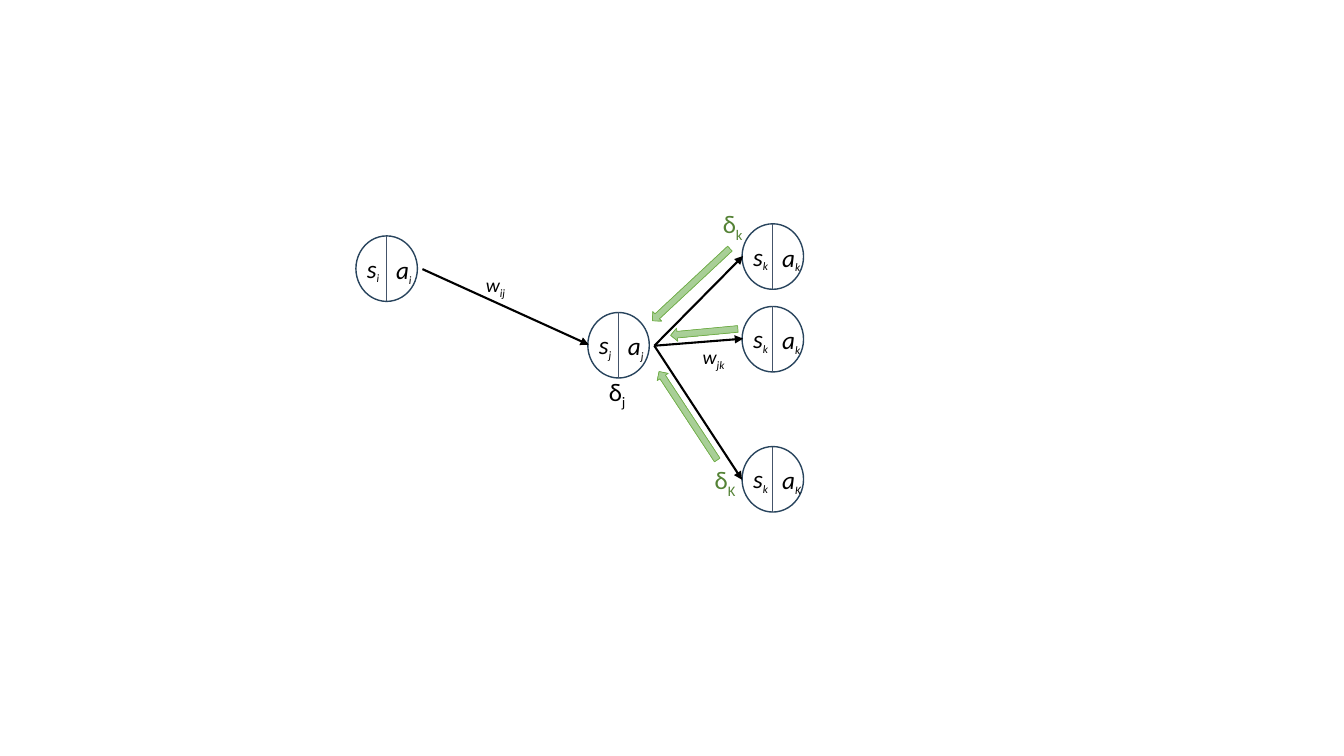
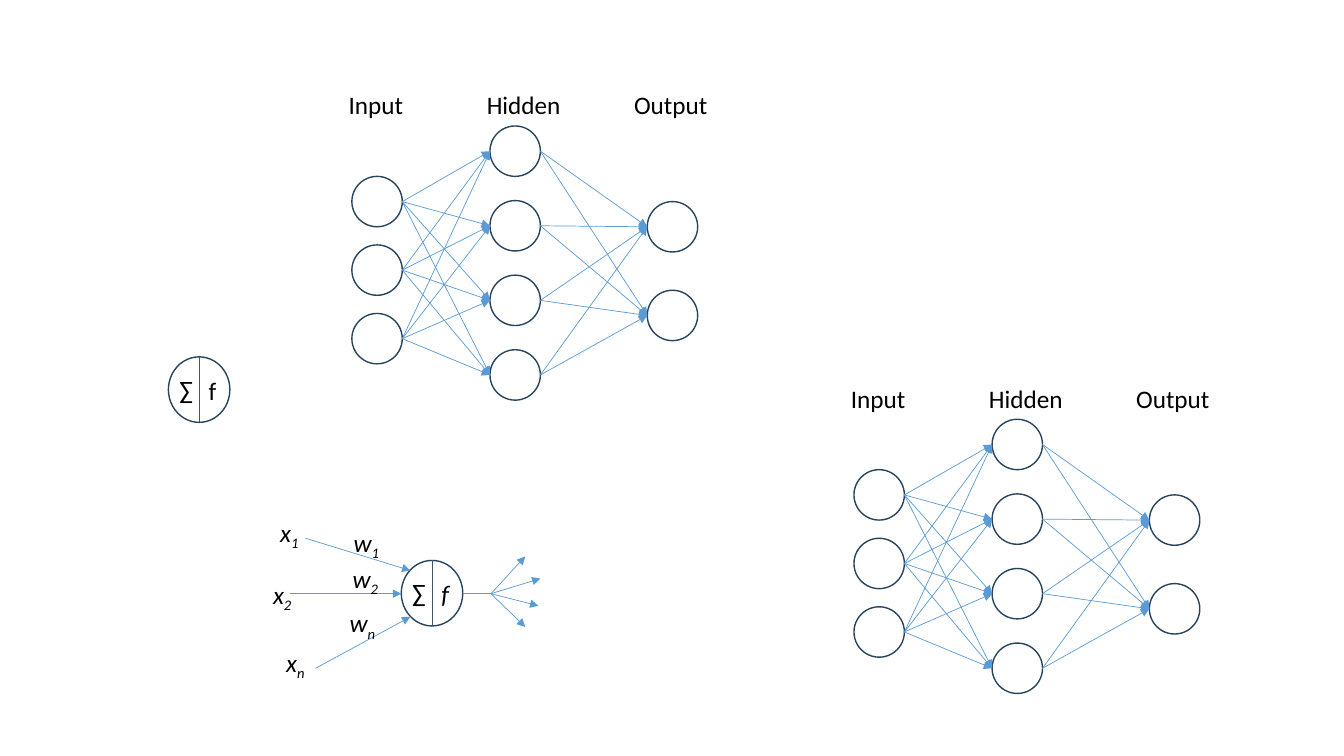
from itertools import product

from pptx import Presentation
from pptx.dml.color import RGBColor
from pptx.enum.shapes import MSO_CONNECTOR as Connector, MSO_SHAPE as Shape
from pptx.enum.text import MSO_AUTO_SIZE as AutoSize
from pptx.oxml.ns import qn
from pptx.util import Inches, Pt
from lxml.etree import SubElement

BLACK = RGBColor(0x00, 0x00, 0x00)
OUTLINE = RGBColor(0x28, 0x44, 0x5D)
DIVIDER = RGBColor(0x44, 0x54, 0x6A)
BLUE = RGBColor(0x5B, 0x9B, 0xD5)
GREEN = RGBColor(0x70, 0xAD, 0x47)
DARK_GREEN = RGBColor(0x54, 0x82, 0x35)
ERROR_GRADIENT = (RGBColor(0xB5, 0xD5, 0xA7), RGBColor(0x9C, 0xC9, 0x87))

FONT = "Calibri"
NEURON_W, NEURON_H = 0.61, 0.65
NODE = 0.5
LABEL_H = 0.4

# position, index of s, index of a
BACKPROP_NEURONS = [
    ((5.83, 3.1), "j", "j"),
    ((3.53, 2.34), "i", "i"),
    ((7.36, 2.22), "k", "k"),
    ((7.36, 3.04), "k", "k"),
    ((7.36, 4.43), "k", "K"),
]
WEIGHT_ARROWS = [
    ((4.19, 2.67), (5.84, 3.42)),
    ((6.49, 3.43), (7.37, 2.54)),
    ((6.49, 3.43), (7.37, 3.36)),
    ((6.49, 3.43), (7.36, 4.76)),
]
WEIGHT_LABELS = [("ij", (4.72, 2.66), 0.4), ("jk", (6.87, 3.37), 0.43)]
DELTA_LABELS = [
    ("j", (5.94, 3.68), 0.37, BLACK),
    ("k", (7.07, 2.02), 0.41, DARK_GREEN),
    ("K", (6.99, 4.56), 0.42, DARK_GREEN),
]
ERROR_ARROWS = [
    ((6.3, 4.06), 1.05, 56.7),
    ((6.65, 3.23), 0.67, 354.6),
    ((6.33, 2.76), 1.05, 317),
]

NETWORK_ORIGINS = [(3.49, 1.25), (8.47, 4.16)]
LAYERS = [
    dict(name="Input", label_x=-0.13, label_w=0.75, x=0, top=0.5, pitch=0.68, count=3),
    dict(name="Hidden", label_x=1.24, label_w=0.94, x=1.37, top=0, pitch=0.74, count=4),
    dict(name="Output", label_x=2.7, label_w=0.94, x=2.93, top=0.75, pitch=0.88, count=2),
]
SUM_NEURONS = [((3.98, 5.56), True), ((1.67, 3.54), False)]
INPUT_ARROWS = [
    ((3.03, 5.34), (4.07, 5.66)),
    ((2.88, 5.89), (3.98, 5.89)),
    ((3.13, 6.63), (4.07, 6.12)),
]
FAN_OUT_START = (4.87, 5.89)
FAN_OUT_ENDS = [(5.21, 5.52), (5.36, 5.74), (5.34, 6.01), (5.21, 6.22)]
# index, position of x, position of w
NEURON_INPUTS = [
    ("1", (2.68, 5.08), (3.41, 5.18)),
    ("2", (2.61, 5.7), (3.4, 5.54)),
    ("n", (2.74, 6.37), (3.37, 5.98)),
]


def add_label(shapes, at, width, symbol, index="", size=18, index_size=None,
              italic=False, color=BLACK, wrap=False):
    box = shapes.add_textbox(*map(Inches, (*at, width, LABEL_H)))
    frame = box.text_frame
    frame.word_wrap = wrap
    frame.auto_size = AutoSize.SHAPE_TO_FIT_TEXT
    paragraph = frame.paragraphs[0]
    for text, points in ((symbol, size), (index, index_size or size)):
        if not text:
            continue
        run = paragraph.add_run()
        run.text = text
        run.font.name = FONT
        run.font.size = Pt(points)
        run.font.italic = italic
        run.font.color.rgb = color
        if text is index:
            run.font._element.set("baseline", "-25000")


def add_line(shapes, start, end, color, width, arrow=True):
    line = shapes.add_connector(Connector.STRAIGHT, *map(Inches, (*start, *end)))
    line.line.color.rgb = color
    line.line.width = Pt(width)
    if arrow:
        SubElement(line.line._get_or_add_ln(), qn("a:tailEnd"), type="triangle")
    SubElement(line._element.spPr, qn("a:effectLst"))


def add_circle(shapes, at, width, height):
    circle = shapes.add_shape(Shape.OVAL, *map(Inches, (*at, width, height)))
    circle.shadow.inherit = False
    circle.fill.background()
    circle.line.color.rgb = OUTLINE
    circle.line.width = Pt(1)


def add_neuron(slide, at, left, right):
    x, y = at
    middle = x + NEURON_W / 2
    parts = slide.shapes.add_group_shape().shapes
    add_circle(parts, at, NEURON_W, NEURON_H)
    add_line(parts, (middle, y), (middle, y + NEURON_H), DIVIDER, 0.5, arrow=False)
    add_label(parts, (x + 0.01, y + 0.12), 0.38, wrap=True, **left)
    add_label(parts, (x + 0.3, y + 0.13), **right)


def add_error_arrow(shapes, at, length, rotation):
    arrow = shapes.add_shape(Shape.LEFT_ARROW, *map(Inches, (*at, length, 0.13)))
    arrow.rotation = rotation
    arrow.shadow.inherit = False
    arrow.fill.gradient()
    arrow.fill.gradient_angle = 270
    for stop, color in zip(arrow.fill.gradient_stops, ERROR_GRADIENT):
        stop.color.rgb = color
    arrow.line.color.rgb = GREEN
    arrow.line.width = Pt(0.5)


def add_network(shapes, origin):
    left, top = origin
    columns = []
    for layer in LAYERS:
        nodes = [(left + layer["x"], top + layer["top"] + row * layer["pitch"])
                 for row in range(layer["count"])]
        for node in nodes:
            add_circle(shapes, node, NODE, NODE)
        columns.append(nodes)
        add_label(shapes, (left + layer["label_x"], top - 0.41),
                  layer["label_w"], layer["name"])
    for sources, targets in zip(columns, columns[1:]):
        for (x1, y1), (x2, y2) in product(sources, targets):
            add_line(shapes, (x1 + NODE, y1 + NODE / 2), (x2, y2 + NODE / 2), BLUE, 0.5)


def build_backprop(slide):
    shapes = slide.shapes
    for at, s_index, a_index in BACKPROP_NEURONS:
        style = dict(index_size=14, italic=True)
        add_neuron(slide, at, dict(symbol="s", index=s_index, **style),
                   dict(symbol="a", index=a_index,
                        width=0.39 if a_index in "kK" else 0.36, **style))
    for start, end in WEIGHT_ARROWS:
        add_line(shapes, start, end, BLACK, 1.5)
    for index, at, width in WEIGHT_LABELS:
        add_label(shapes, at, width, "w", index, size=14, italic=True)
    for index, at, width, color in DELTA_LABELS:
        add_label(shapes, at, width, "δ", index, color=color)
    for arrow in ERROR_ARROWS:
        add_error_arrow(shapes, *arrow)


def build_networks(slide):
    shapes = slide.shapes
    for origin in NETWORK_ORIGINS:
        add_network(shapes, origin)
    for at, italic in SUM_NEURONS:
        add_neuron(slide, at, dict(symbol="∑"),
                   dict(symbol="f", width=0.29, italic=italic))
    fan_out = [(FAN_OUT_START, end) for end in FAN_OUT_ENDS]
    for start, end in INPUT_ARROWS + fan_out:
        add_line(shapes, start, end, BLUE, 0.5)
    add_line(shapes, (4.59, 5.89), FAN_OUT_START, BLUE, 0.5, arrow=False)
    for index, x_at, w_at in NEURON_INPUTS:
        add_label(shapes, x_at, 0.4, "x", index, italic=True)
        add_label(shapes, w_at, 0.73, "w", index, italic=True, wrap=True)


def main():
    deck = Presentation()
    deck.slide_width, deck.slide_height = Inches(13.33), Inches(7.5)
    for build in (build_backprop, build_networks):
        build(deck.slides.add_slide(deck.slide_layouts[6]))
    deck.save("out.pptx")


if __name__ == "__main__":
    main()
